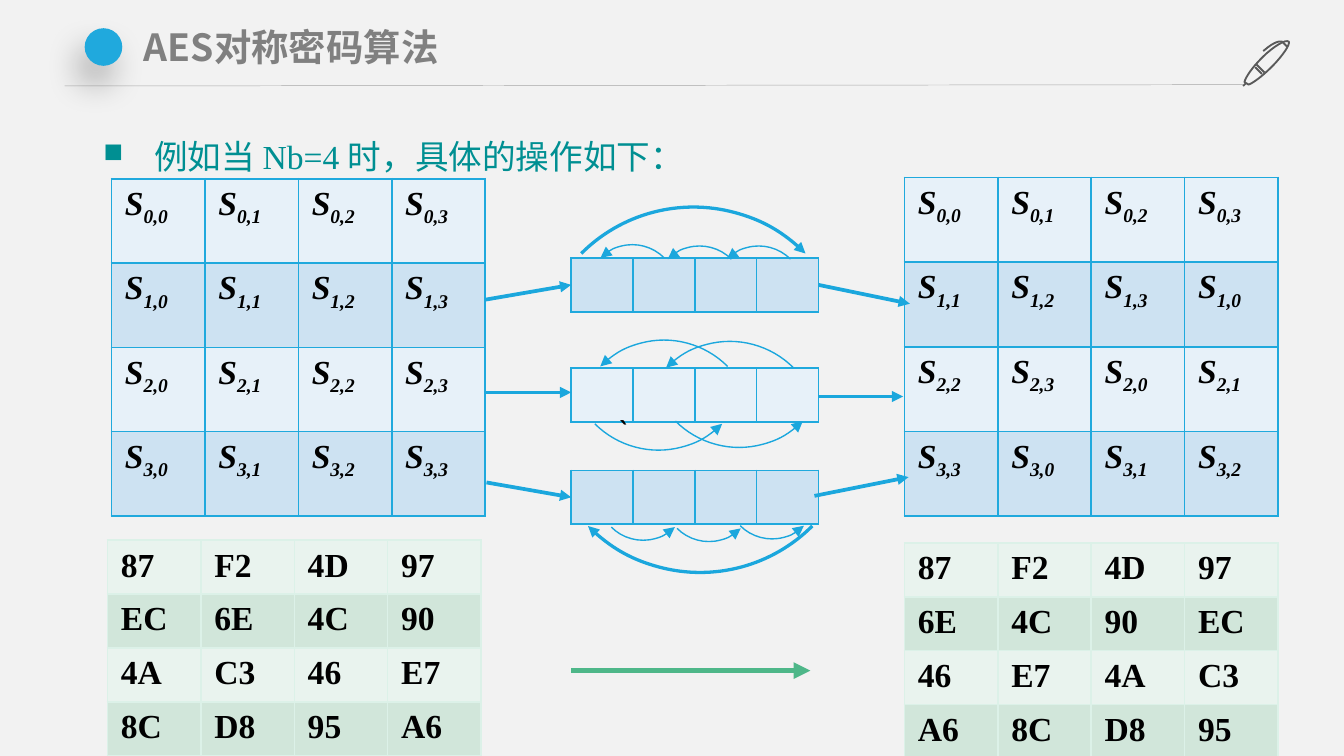
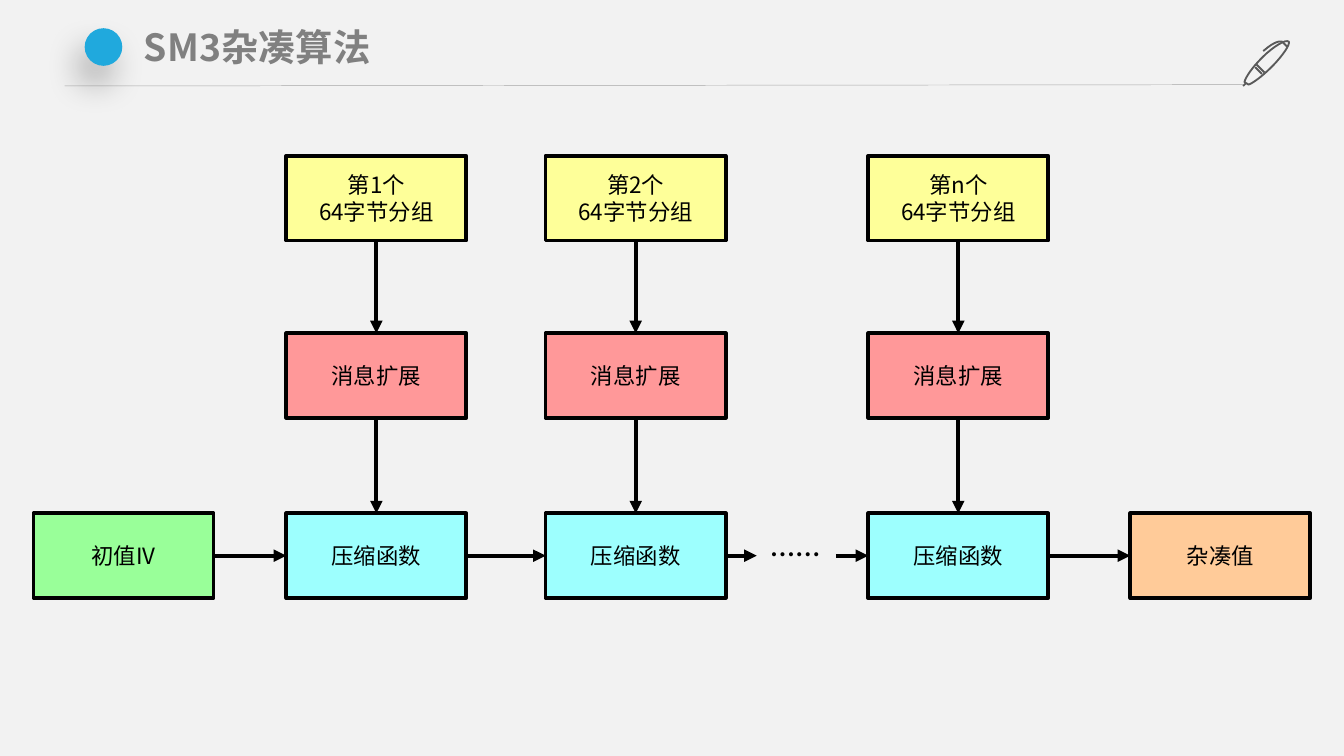
from pptx import Presentation
from pptx.util import Inches as In, Pt
from pptx.dml.color import RGBColor as RGB
from pptx.enum.shapes import MSO_SHAPE as Geo, MSO_CONNECTOR as Link
from pptx.enum.text import PP_ALIGN as Al, MSO_ANCHOR as Anc, MSO_AUTO_SIZE as Fit
from pptx.oxml import parse_xml
from pptx.oxml.ns import qn, nsdecls

# Theme: colours and type
HUE = dict(back="F2F2F2", rule="A6A6A6", pen="595959", dot="20A9DD", arc="1BA7DD",
           pale="E7F1F9", deep="CDE2F2", mint="E9F3EE", sage="D1E6DA", edge="DCF1E8",
           green="4EB789", ink="000000", block="FEFF99", grow="FF9899",
           press="9DFFFE", seed="99FF99", hash="FFCB99")
CJK, SERIF, SANS = "Noto Sans CJK SC", "Times New Roman", "Calibri"
TYPE = dict(
    title=dict(name=CJK, size=Pt(20), bold=True, color="808080"),
    lead=dict(name=SERIF, size=Pt(18), color="008F92"),
    state=dict(name=SERIF, size=Pt(18), bold=True, italic=True, color=HUE["ink"]),
    byte=dict(name=SERIF, size=Pt(18), bold=True, color=HUE["ink"]),
    box=dict(name=CJK, size=Pt(12), color=HUE["ink"]),
    mark=dict(name=SANS, size=Pt(18), color=HUE["ink"]))

# Content: AES slide
AES = "AES对称密码算法"
LEAD = "例如当 Nb=4 时，具体的操作如下："
STATE = [[f"{r},{c}" for c in range(4)] for r in range(4)]
BYTES = [row.split() for row in
         ("87 F2 4D 97", "EC 6E 4C 90", "4A C3 46 E7", "8C D8 95 A6")]
STRIPS = [(1.92, "deep"), (2.74, "pale"), (3.5, "deep")]
# size, line width, rotation, flips, corners
ARCS = [
    (2.36, 1.75, 315, "", [(3.98, 1.54)]),
    (0.67, 0.75, 45, "H", [(5.31, 1.83), (4.87, 1.83), (4.37, 1.82)]),
    (1.34, 0.75, 45, "H", [(4.76, 2.54), (4.27, 2.53)]),
    (1.34, 0.75, 45, "V", [(4.23, 2.01), (4.83, 1.99)]),
    (2.36, 1.75, 315, "HV", [(4.03, 1.9)]),
    (0.67, 0.75, 45, "V", [(4.45, 3.35), (4.94, 3.36), (5.41, 3.34)])]
FLOWS = [((3.61, 2.23), (4.25, 2.12)), ((3.62, 2.92), (4.25, 2.92)),
         ((3.62, 3.59), (4.25, 3.7)), ((6.09, 2.12), (6.77, 2.26)),
         ((6.09, 2.95), (6.72, 2.95)), ((6.06, 3.69), (6.76, 3.55))]

# Content: SM3 slide
SM3 = "SM3杂凑算法"
BOX_W, BOX_H = 1.34, 0.63
COLS = [(2.13, "1"), (4.06, "2"), (6.46, "n")]
ROWS = [(1.16, "block", "第{}个\n64字节分组"), (2.48, "grow", "消息扩展"),
        (3.82, "press", "压缩函数")]
ENDS = [(0.25, "seed", "初值IV"), (8.41, "hash", "杂凑值")]

# Pen icon: each stroke is a line (2 points) or a chain of Bezier curves
PEN = [
    [(9.39, .55), (9.34, .5)], [(9.35, .48), (9.41, .54)],
    [(9.59, .31), (9.57, .29), (9.48, .34), (9.39, .43), (9.32, .5), (9.27, .57),
     (9.26, .61), (9.27, .62), (9.28, .62), (9.29, .63), (9.32, .62), (9.39, .57),
     (9.46, .5), (9.55, .41), (9.6, .33), (9.59, .31)],
    [(9.27, .62), (9.25, .64)], [(9.58, .35), (9.54, .31)],
    [(9.54, .31), (9.54, .31), (9.5, .29), (9.4, .38)]]


def paint(shape, fill=None, line=None, width=1):
    if fill:
        shape.fill.solid()
        shape.fill.fore_color.rgb = RGB.from_string(HUE[fill])
    else:
        shape.fill.background()
    if line:
        ink(shape, line, width)
    else:
        shape.line.fill.background()
    shape.shadow.inherit = False


def ink(shape, hue, width):
    shape.line.color.rgb = RGB.from_string(HUE[hue])
    shape.line.width = Pt(width)


def tip(shape):
    shape.line._get_or_add_ln().append(
        parse_xml(f'<a:tailEnd {nsdecls("a")} type="triangle"/>'))


def put(par, text, kind, base=None):
    run = par.add_run()
    run.text = text
    for key, val in TYPE[kind].items():
        if key == "color":
            run.font.color.rgb = RGB.from_string(val)
        else:
            setattr(run.font, key, val)
    prop = run._r.get_or_add_rPr()
    prop.append(parse_xml(f'<a:ea {nsdecls("a")} typeface="{CJK}"/>'))
    if base:
        prop.set("baseline", str(base))


def note(slide, at, text, kind):
    box = slide.shapes.add_textbox(*map(In, at))
    box.text_frame.word_wrap = True
    par = box.text_frame.paragraphs[0]
    put(par, text, kind)
    return par


def line(slide, start, end, hue, width, head=True, join=(None, None)):
    link = slide.shapes.add_connector(Link.STRAIGHT, *map(In, (*start, *end)))
    if join[0]:
        link.begin_connect(*join[0])
    if join[1]:
        link.end_connect(*join[1])
    ink(link, hue, width)
    if head:
        tip(link)
    link.element.spPr.append(parse_xml(f'<a:effectLst {nsdecls("a")}/>'))
    return link


def grid(slide, x, y, wide, high, rows, fills, edge, fill_in):
    size = len(rows[0]), len(rows)
    frame = slide.shapes.add_table(size[1], size[0], In(x), In(y),
                                   In(wide * size[0]), In(high * size[1]))
    table = frame.table
    table.first_row = table.horz_banding = False
    for r, row in enumerate(rows):
        for c, text in enumerate(row):
            cell = table.cell(r, c)
            cell.fill.solid()
            cell.fill.fore_color.rgb = RGB.from_string(HUE[fills[r % len(fills)]])
            prop = cell._tc.get_or_add_tcPr()
            for i, side in enumerate("LRTB"):
                prop.insert(i, parse_xml(
                    f'<a:ln{side} {nsdecls("a")} w="12700"><a:solidFill>'
                    f'<a:srgbClr val="{HUE[edge]}"/></a:solidFill></a:ln{side}>'))
            if text:
                fill_in(cell.text_frame.paragraphs[0], text)


def state(par, text):
    put(par, "S", "state")
    put(par, text, "state", -25000)


def byte(par, text):
    put(par, text, "byte")


def shift(rows):
    return [row[r:] + row[:r] for r, row in enumerate(rows)]


def curve(pts, steps=8):
    if len(pts) == 2:
        return pts[1:]
    out = []
    for i in range(0, len(pts) - 1, 3):
        a, b, c, d = pts[i:i + 4]
        for n in range(1, steps + 1):
            t = n / steps
            u = 1 - t
            out.append(tuple(u**3 * p + 3 * u * u * t * q + 3 * u * t * t * r + t**3 * s
                             for p, q, r, s in zip(a, b, c, d)))
    return out


def dress(slide, layout):
    """Build the shared header and move it to the layout."""
    rule = line(slide, (0.48, 0.64), (9.25, 0.63), "rule", 0.25, head=False)
    nib = slide.shapes.build_freeform(*map(In, PEN[0][0]))
    for n, pts in enumerate(PEN):
        if n:
            nib.move_to(*map(In, pts[0]))
        nib.add_line_segments([tuple(map(In, p)) for p in curve(pts)], close=False)
    pen = nib.convert_to_shape()
    paint(pen, None, "pen", 1)
    dot = slide.shapes.add_shape(Geo.OVAL, *map(In, (0.63, 0.21, 0.28, 0.28)))
    paint(dot, "dot")
    dot.element.spPr.find(qn("a:effectLst")).append(parse_xml(
        f'<a:outerShdw {nsdecls("a")} blurRad="{Pt(18)}" dist="{Pt(11)}" '
        f'dir="{113 * 60000}" rotWithShape="0"><a:srgbClr val="000000">'
        '<a:alpha val="27000"/></a:srgbClr></a:outerShdw>'))
    for part in (rule, pen, dot):
        layout.shapes.element.append(part.element)


def start(deck, title):
    slide = deck.slides.add_slide(deck.slide_layouts[5])
    head = slide.shapes.title
    for key, val in dict(left=0.98, top=0.14, width=8.27, height=0.43).items():
        setattr(head, key, In(val))
    frame = head.text_frame
    form = dict(margin_left=In(0.09), margin_right=In(0.09), margin_top=In(0.04),
                margin_bottom=In(0.04), vertical_anchor=Anc.TOP,
                auto_size=Fit.NONE, word_wrap=True)
    for key, val in form.items():
        setattr(frame, key, val)
    frame.paragraphs[0].alignment = Al.LEFT
    put(frame.paragraphs[0], title, "title")
    return slide


def aes(slide):
    # Lead line
    par = note(slide, (0.67, 0.87, 8.98, 0.93), LEAD, "lead")
    prop = par._p.get_or_add_pPr()
    prop.set("marL", str(In(0.38)))
    prop.set("indent", str(-In(0.38)))
    prop.append(parse_xml(f'<a:buSzPct {nsdecls("a")} val="80000"/>'))
    prop.append(parse_xml(f'<a:buChar {nsdecls("a")} char="■"/>'))
    par.line_spacing, par.space_after = 1.3, Pt(3)

    # State tables and the three shifted rows
    wide = 2.78 / 4
    for x, y, high, rows in ((0.83, 1.33, 2.51, STATE), (6.73, 1.32, 2.52, shift(STATE))):
        grid(slide, x, y, wide, high / 4, rows, ("pale", "deep"), "dot", state)
    for y, fill in STRIPS:
        grid(slide, 4.25, y, 0.46, 0.4, [[""] * 4], (fill,), "dot", byte)
    note(slide, (4.5, 3, 1, 0.4), "`", "mark")

    # Shift arcs and flow arrows
    for size, width, turn, flips, spots in ARCS:
        for x, y in spots:
            arc = slide.shapes.add_shape(Geo.ARC, *map(In, (x, y, size, size)))
            arc.rotation = turn
            for flip in flips:
                arc.element.spPr.xfrm.set("flip" + flip, "1")
            paint(arc, None, "arc", width)
            tip(arc)
    for a, b in FLOWS:
        line(slide, a, b, "arc", 2)

    # Byte tables
    for x, y, rows in ((0.8, 4.02, BYTES), (6.73, 4.04, shift(BYTES))):
        grid(slide, x, y, wide, 0.4, rows, ("mint", "sage"), "edge", byte)
    line(slide, (4.25, 4.99), (6.03, 4.99), "green", 3)


def block(slide, x, y, fill, text):
    box = slide.shapes.add_shape(Geo.RECTANGLE, *map(In, (x, y, BOX_W, BOX_H)))
    paint(box, fill, "ink", 2)
    frame = box.text_frame
    frame.word_wrap, frame.vertical_anchor = True, Anc.MIDDLE
    for n, part in enumerate(text.split("\n")):
        par = frame.add_paragraph() if n else frame.paragraphs[0]
        par.alignment = Al.CENTER
        put(par, part, "box")
    return box


def sm3(slide):
    # Blocks
    rows = [[block(slide, x, y, fill, text.format(n)) for x, n in COLS]
            for y, fill, text in ROWS]
    low = ROWS[-1][0]
    seed, out = [block(slide, x, low, fill, text) for x, fill, text in ENDS]
    one, two, last = rows[-1]

    # Arrows down each column, then along the chain
    for upper, under in zip(rows, rows[1:]):
        for a, b in zip(upper, under):
            line(slide, (0, 0), (0, 0), "ink", 2.25, join=((a, 2), (b, 0)))
    for a, b in ((seed, one), (one, two), (last, out)):
        line(slide, (0, 0), (0, 0), "ink", 2.25, join=((a, 3), (b, 1)))
    mid = low + BOX_H / 2
    line(slide, (5.4, mid), (5.63, mid), "ink", 2.25, join=((two, 3), None))
    line(slide, (6.22, mid), (6.46, mid), "ink", 2.25, join=(None, (last, 1)))
    note(slide, (5.63, 3.84, 0.63, 0.4), "......", "mark")


def main():
    deck = Presentation()
    deck.slide_width, deck.slide_height = In(10), In(10 * 9 / 16)
    back = deck.slide_master.background.fill
    back.solid()
    back.fore_color.rgb = RGB.from_string(HUE["back"])
    first = start(deck, AES)
    dress(first, deck.slide_layouts[5])
    aes(first)
    sm3(start(deck, SM3))
    deck.save("out.pptx")


if __name__ == "__main__":
    main()
